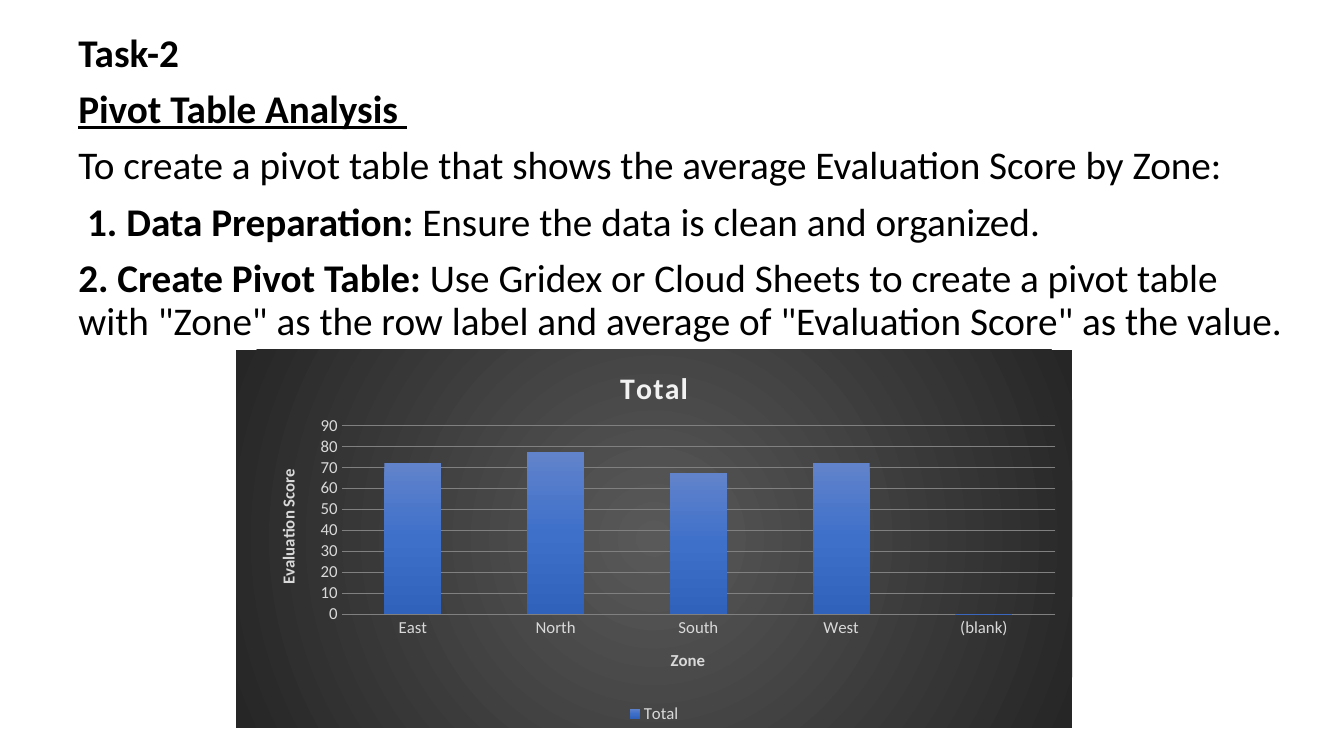
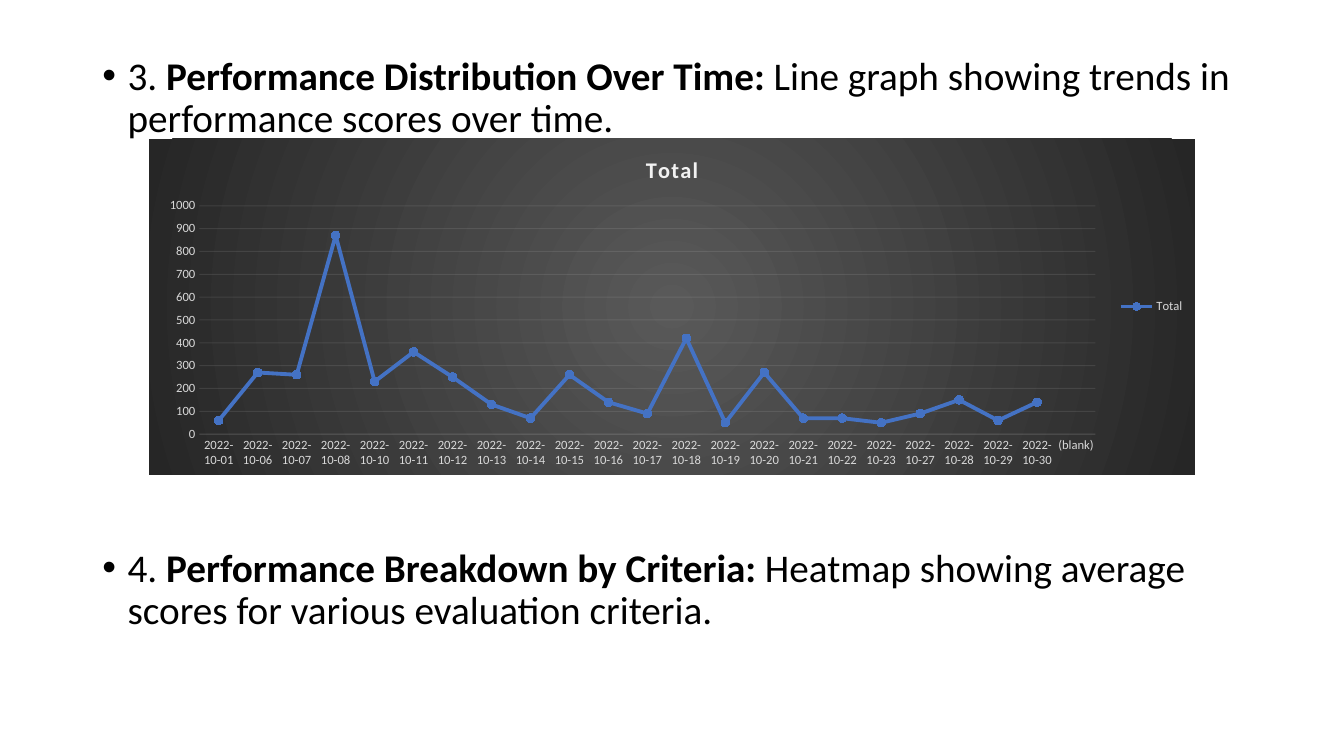
from lxml import etree
from pptx import Presentation
from pptx.chart.data import CategoryChartData
from pptx.dml.color import RGBColor
from pptx.enum.chart import XL_CHART_TYPE, XL_LEGEND_POSITION, XL_MARKER_STYLE, XL_TICK_MARK
from pptx.enum.text import MSO_ANCHOR, MSO_AUTO_SIZE
from pptx.oxml import parse_xml
from pptx.oxml.ns import nsdecls, qn
from pptx.util import Pt

COLUMNS = XL_CHART_TYPE.COLUMN_CLUSTERED
LINE = XL_CHART_TYPE.LINE_MARKERS
LEGEND_BOTTOM, LEGEND_RIGHT = XL_LEGEND_POSITION.BOTTOM, XL_LEGEND_POSITION.RIGHT
CIRCLE = XL_MARKER_STYLE.CIRCLE
NO_TICK = XL_TICK_MARK.NONE
TOP = MSO_ANCHOR.TOP
NO_AUTOFIT = MSO_AUTO_SIZE.NONE

EMU_PER_PX = 9525
SLIDE_WIDTH, SLIDE_HEIGHT = 1280, 720
TITLE_AND_CONTENT = 1
FONT = "Calibri"
BODY_SIZE = 28
BULLET_INDENT = 24

BLACK, PALE, LABEL, GRID = "000000", "F2F2F2", "D9D9D9", "808080"
BLUE, MARKER_BLUE = "4472C4", "3E70CA"
BACKDROP_STOPS = [(0, "595959"), (100, "262626")]
BAR_STOPS = [(0, "6183CB"), (50, MARKER_BLUE), (100, "3062BB")]
RADIAL = '<a:path path="circle"><a:fillToRect l="50000" t="50000" r="50000" b="50000"/></a:path>'
DOWNWARD = '<a:lin ang="5400000" scaled="0"/>'

ZONE_SCORES = {"East": 72, "North": 77, "South": 67, "West": 72, "(blank)": 0}
OCTOBER_DAYS = [1, 6, 7, 8, *range(10, 24), 27, 28, 29, 30]
DAY_SCORES = [60, 270, 260, 870, 230, 360, 250, 130, 70, 260, 140, 90,
              420, 50, 270, 70, 70, 50, 90, 150, 60, 140]
DAILY_SCORES = {f"2022-10-{day:02}": score for day, score in zip(OCTOBER_DAYS, DAY_SCORES)}
DAILY_SCORES["(blank)"] = None


def px(value):
    return int(value * EMU_PER_PX)


def color(hex_value):
    return RGBColor.from_string(hex_value)


def set_font(font, size, hex_value, bold=False):
    font.name, font.size, font.bold = FONT, Pt(size), bold
    font.color.rgb = color(hex_value)


def gradient(stops, direction):
    stop_xml = "".join(
        f'<a:gs pos="{position * 1000}"><a:srgbClr val="{hex_value}"/></a:gs>'
        for position, hex_value in stops)
    return parse_xml(f'<a:gradFill {nsdecls("a")} rotWithShape="1">'
                     f"<a:gsLst>{stop_xml}</a:gsLst>{direction}</a:gradFill>")


def set_line(line, hex_value, width, opacity=100):
    line.color.rgb = color(hex_value)
    line.width = Pt(width)
    if opacity < 100:
        for rgb in line._get_or_add_ln().iter(qn("a:srgbClr")):
            etree.SubElement(rgb, qn("a:alpha")).set("val", str(opacity * 1000))


def add_body(slide, box, paragraphs, bulleted=False, gap=10):
    """Fill the body with lists of (text, bold, underline) runs; gap parts them in points."""
    title = slide.shapes.title
    title.element.getparent().remove(title.element)
    body = slide.placeholders[1]
    body.left, body.top, body.width, body.height = map(px, box)
    frame = body.text_frame
    frame.word_wrap, frame.auto_size, frame.vertical_anchor = True, NO_AUTOFIT, TOP
    for index, runs in enumerate(paragraphs):
        paragraph = frame.paragraphs[0] if index == 0 else frame.add_paragraph()
        paragraph.line_spacing = 0.9
        paragraph.space_before = Pt(gap if index else 10)
        paragraph.space_after = Pt(0)
        properties = paragraph._p.get_or_add_pPr()
        indent = px(BULLET_INDENT) if bulleted else 0
        properties.set("marL", str(indent))
        properties.set("indent", str(-indent))
        if bulleted:
            etree.SubElement(properties, qn("a:buFont")).set("typeface", "Arial")
            etree.SubElement(properties, qn("a:buChar")).set("char", "•")
        else:
            etree.SubElement(properties, qn("a:buNone"))
        for text, bold, underline in runs:
            run = paragraph.add_run()
            run.text = text
            set_font(run.font, BODY_SIZE, BLACK, bold)
            run.font.underline = underline


def set_title(titled, text, size, hex_value):
    """Title a chart or an axis."""
    titled.has_title = True
    title = titled.chart_title if hasattr(titled, "chart_title") else titled.axis_title
    title.text_frame.text = text
    run = title.text_frame.paragraphs[0].runs[0]
    set_font(run.font, size, hex_value, True)
    return title.text_frame, run


def set_plot_box(chart, plot_box):
    """Place the inner plot area by fractions of the chart."""
    area = chart.element.find(".//" + qn("c:plotArea"))
    for layout in area.findall(qn("c:layout")):
        area.remove(layout)
    modes = "".join(f'<c:{name} val="edge"/>' for name in ("xMode", "yMode"))
    sizes = "".join(f'<c:{name} val="{value}"/>' for name, value in zip("xywh", plot_box))
    area.insert(0, parse_xml(
        f'<c:layout {nsdecls("c")}><c:manualLayout><c:layoutTarget val="inner"/>'
        f"{modes}{sizes}</c:manualLayout></c:layout>"))


def add_dark_chart(slide, box, kind, scores, title_size, label_size, legend_position, plot_box):
    data = CategoryChartData()
    data.categories = list(scores)
    data.add_series("Total", list(scores.values()))
    chart = slide.shapes.add_chart(kind, *map(px, box), data).chart
    set_font(chart.font, label_size, LABEL)
    backdrop = parse_xml(f'<c:spPr {nsdecls("c", "a")}><a:ln><a:noFill/></a:ln></c:spPr>')
    backdrop.insert(0, gradient(BACKDROP_STOPS, RADIAL))
    chart.element.find(qn("c:chart")).addnext(backdrop)
    _, title_run = set_title(chart, "Total", title_size, PALE)
    title_run.font._element.set("spc", "100") if hasattr(title_run.font, "_element") \
        else title_run._r.get_or_add_rPr().set("spc", "100")
    chart.has_legend = True
    chart.legend.position = legend_position
    chart.legend.include_in_layout = False
    set_font(chart.legend.font, label_size, LABEL)
    for axis in (chart.category_axis, chart.value_axis):
        axis.major_tick_mark = axis.minor_tick_mark = NO_TICK
        axis.format.line.fill.background()
        set_font(axis.tick_labels.font, label_size, LABEL)
    chart.value_axis.minimum_scale = 0
    set_plot_box(chart, plot_box)
    chart.plots[0].vary_by_categories = False
    return chart


def add_zone_chart(slide, box):
    chart = add_dark_chart(slide, box, COLUMNS, ZONE_SCORES, 21.3, 12,
                           LEGEND_BOTTOM, (0.126, 0.2, 0.854, 0.5))
    set_title(chart.category_axis, "Zone", 12, LABEL)
    score_frame, _ = set_title(chart.value_axis, "Evaluation Score", 12, LABEL)
    score_frame._txBody.bodyPr.set("rot", "-5400000")
    score_frame._txBody.bodyPr.set("vert", "horz")
    chart.value_axis.maximum_scale = 90
    chart.value_axis.major_unit = 10
    set_line(chart.value_axis.major_gridlines.format.line, GRID, 0.75)
    plot = chart.plots[0]
    plot.gap_width = 150
    plot.series[0]._element.get_or_add_spPr().insert(0, gradient(BAR_STOPS, DOWNWARD))


def add_trend_chart(slide, box):
    chart = add_dark_chart(slide, box, LINE, DAILY_SCORES, 16, 9,
                           LEGEND_RIGHT, (0.048, 0.2, 0.857, 0.68))
    chart.value_axis.maximum_scale = 1000
    chart.value_axis.major_unit = 100
    for line in (chart.category_axis.format.line,
                 chart.value_axis.major_gridlines.format.line):
        set_line(line, PALE, 0.75, opacity=10)
    series = chart.plots[0].series[0]
    series.smooth = False
    set_line(series.format.line, BLUE, 2.75)
    marker = series.marker
    marker.style, marker.size = CIRCLE, 6
    marker.format.fill.solid()
    marker.format.fill.fore_color.rgb = color(MARKER_BLUE)
    set_line(marker.format.line, MARKER_BLUE, 0.75)


def build_pivot_slide(slide):
    add_body(slide, (65, 27, 1176, 693), [
        [("Task-2", True, False)],
        [("Pivot Table Analysis ", True, True)],
        [("To create a pivot table that shows the average Evaluation Score by Zone:",
          False, False)],
        [(" 1. Data Preparation: ", True, False),
         ("Ensure the data is clean and organized.", False, False)],
        [("2. Create Pivot Table: ", True, False),
         ("Use Gridex or Cloud Sheets to create a pivot table with \"Zone\" as the row label "
          "and average of \"Evaluation Score\" as the value.", False, False)],
    ])
    add_zone_chart(slide, (225, 333, 796, 360))


def build_trend_slide(slide):
    add_body(slide, (88, 49, 1104, 629), [
        [("3. ", False, False),
         ("Performance Distribution Over Time: ", True, False),
         ("Line graph showing trends in performance scores over time.", False, False)],
        [("4. ", False, False),
         ("Performance Breakdown by Criteria:", True, False),
         (" Heatmap showing average scores for various evaluation criteria.", False, False)],
    ], bulleted=True, gap=291)
    add_trend_chart(slide, (142, 132, 996, 320))


def main():
    presentation = Presentation()
    presentation.slide_width = px(SLIDE_WIDTH)
    presentation.slide_height = px(SLIDE_HEIGHT)
    layout = presentation.slide_layouts[TITLE_AND_CONTENT]
    for build in (build_pivot_slide, build_trend_slide):
        build(presentation.slides.add_slide(layout))
    presentation.save("out.pptx")


if __name__ == "__main__":
    main()
